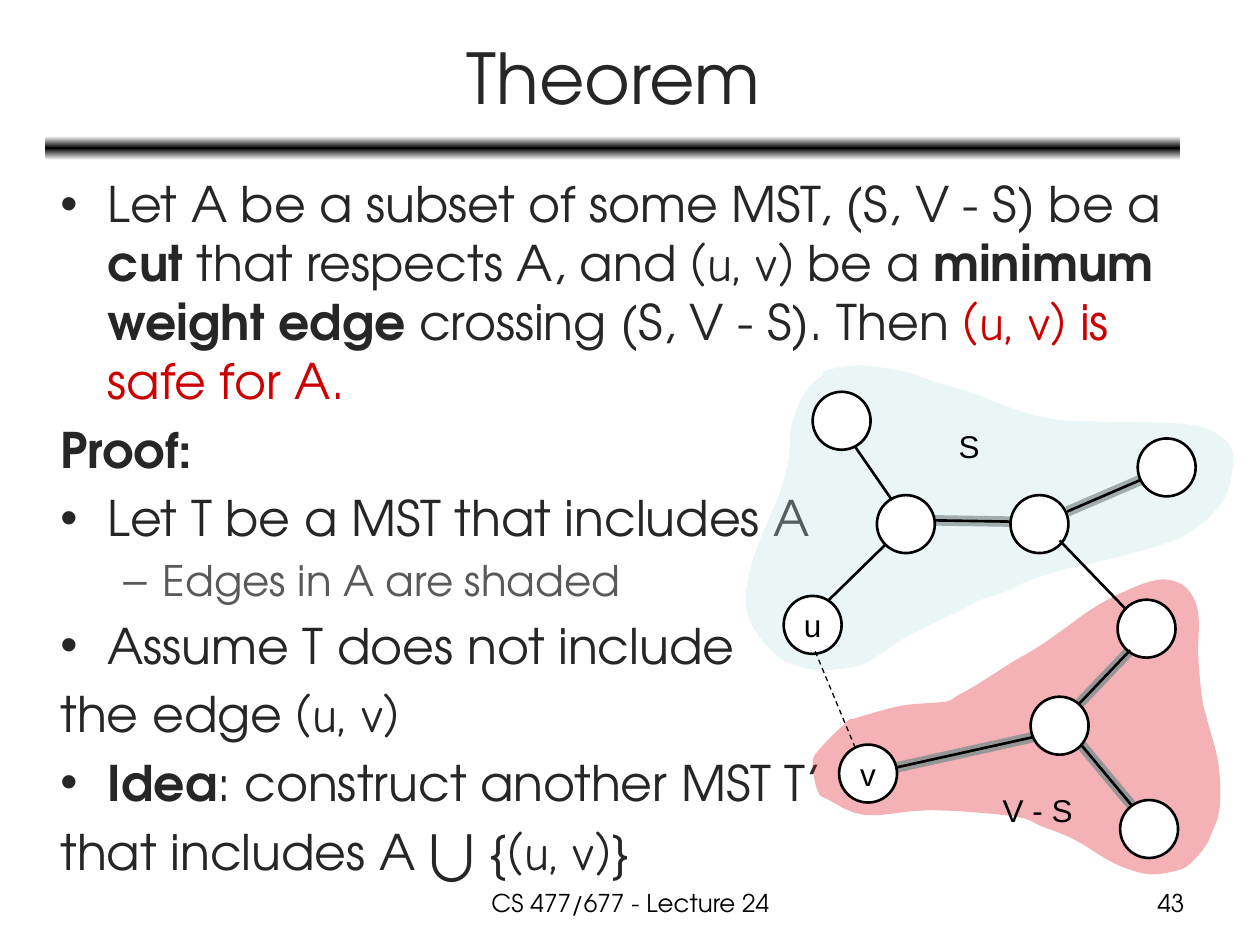
"""Build a lecture slide on safe edges for minimum spanning trees."""
from copy import deepcopy
from lxml.etree import SubElement
from pptx import Presentation
from pptx.dml.color import RGBColor
from pptx.enum.dml import MSO_LINE
from pptx.enum.shapes import MSO_CONNECTOR, MSO_SHAPE
from pptx.enum.text import MSO_ANCHOR, MSO_AUTO_SIZE, PP_ALIGN
from pptx.oxml.ns import qn
from pptx.util import Inches, Pt

BLACK = RGBColor(0x00, 0x00, 0x00)
WHITE = RGBColor(0xFF, 0xFF, 0xFF)
DARK = RGBColor(0x26, 0x26, 0x26)
GREY = RGBColor(0x59, 0x59, 0x59)
SHADE = RGBColor(0x96, 0x96, 0x96)
RED = RGBColor(0xCC, 0x00, 0x00)
PINK = RGBColor(0xDD, 0x01, 0x11)
TEAL = RGBColor(0xBB, 0xE0, 0xE3)
MAIN = "TeX Gyre Adventor"
MATH = "Comic Neue"
SIDE = 0.46

deck = Presentation()
deck.slide_width = Inches(10)
deck.slide_height = Inches(7.5)
slide = deck.slides.add_slide(deck.slide_layouts[1])
shapes = slide.shapes


def add_blob(knots, color):
    """Draw a smooth closed region through the knots."""
    dots = []
    for i, b in enumerate(knots):
        a, c, d = knots[i - 1], knots[(i + 1) % len(knots)], knots[(i + 2) % len(knots)]
        for t in (0, 0.25, 0.5, 0.75):
            dots.append(tuple(
                Inches(q + t * (r - p) / 2 + t**2 * (2 * p - 5 * q + 4 * r - s) / 2
                       + t**3 * (3 * q - p - 3 * r + s) / 2)
                for p, q, r, s in zip(a, b, c, d)))
    pen = shapes.build_freeform(*dots[0])
    pen.add_line_segments(dots[1:], close=True)
    blob = pen.convert_to_shape()
    blob.shadow.inherit = False
    blob.line.fill.background()
    blob.fill.solid()
    blob.fill.fore_color.rgb = color
    tint = blob.fill._xPr.find(".//" + qn("a:srgbClr"))
    SubElement(tint, qn("a:alpha"), val="30000")


def add_edge(ends, color, width):
    """Draw a straight edge between two points."""
    edge = shapes.add_connector(MSO_CONNECTOR.STRAIGHT, *[Inches(n) for n in ends])
    edge.line.color.rgb = color
    edge.line.width = Pt(width)
    SubElement(edge._element.spPr, qn("a:effectLst"))
    return edge


bar = shapes.add_shape(MSO_SHAPE.ROUNDED_RECTANGLE,
                       Inches(0.36), Inches(1.08), Inches(9.01), Inches(0.19))
bar.shadow.inherit = False
bar.line.fill.background()
bar.fill.gradient()
bar.fill.gradient_angle = 90
stops = bar.fill._xPr.find(".//" + qn("a:gsLst"))
stops.insert(1, deepcopy(stops[0]))
for stop, spot, color in zip(bar.fill.gradient_stops, (0, 0.5, 1), (WHITE, BLACK, WHITE)):
    stop.position = spot
    stop.color.rgb = color

title = shapes.title
title.left, title.top, title.width, title.height = [Inches(n) for n in (0.37, 0.11, 9, 0.99)]
title.text_frame.text = "Theorem"
title.text_frame.vertical_anchor = MSO_ANCHOR.MIDDLE
font = title.text_frame.paragraphs[0].runs[0].font
font.name, font.size, font.color.rgb = MAIN, Pt(40), DARK

PLAIN = (MAIN, False, DARK)
BOLD = (MAIN, True, DARK)
PAIR = (MATH, False, DARK)
items = [
    (0, True, [("Let A be a subset of some MST, (S, V - S) be a ", PLAIN), ("cut", BOLD),
               (" that respects A, and ", PLAIN), ("(u, v)", PAIR), (" be a ", PLAIN),
               ("minimum weight edge", BOLD), (" crossing (S, V - S). Then ", PLAIN),
               ("(u, v)", (MATH, False, RED)), (" is safe for A.", (MAIN, False, RED))]),
    (0, False, [("Proof:", BOLD)]),
    (0, True, [("Let T be a MST that includes A", PLAIN)]),
    (1, True, [("Edges in A are shaded", (MAIN, False, GREY))]),
    (0, True, [("Assume T does not include", PLAIN)]),
    (0, False, [("the edge ", PLAIN), ("(u, v)", PAIR)]),
    (0, True, [("Idea", BOLD), (": construct another MST T’", PLAIN)]),
    (0, False, [("that includes A ⋃ {", PLAIN), ("(u, v)", PAIR), ("}", PLAIN)]),
]
body = slide.placeholders[1]
body.left, body.top, body.width, body.height = [Inches(n) for n in (0.38, 1.33, 9.23, 5.55)]
frame = body.text_frame
frame.auto_size = MSO_AUTO_SIZE.NONE
for i, (level, dot, parts) in enumerate(items):
    para = frame.add_paragraph() if i else frame.paragraphs[0]
    para.level = level
    if not dot:
        SubElement(para._p.get_or_add_pPr(), qn("a:buNone"))
    for words, (face, bold, color) in parts:
        run = para.add_run()
        run.text = words
        font = run.font
        font.name, font.bold, font.color.rgb = face, bold, color
        font.size = Pt(24 if level else 28)

add_blob([(7.5, 5.57), (7.16, 5.6), (6.79, 5.7), (6.72, 5.73), (6.5, 5.95), (6.45, 6.06),
          (6.49, 6.28), (6.58, 6.35), (6.87, 6.47), (7.39, 6.43), (8.05, 6.48), (8.27, 6.56),
          (8.52, 6.66), (8.8, 6.83), (8.99, 6.91), (9.15, 6.94), (9.34, 6.91), (9.44, 6.86),
          (9.55, 6.74), (9.61, 6.63), (9.68, 6.41), (9.67, 6.06), (9.58, 5.71), (9.54, 5.54),
          (9.51, 5.2), (9.51, 4.86), (9.42, 4.67), (9.26, 4.6), (9.08, 4.63), (8.83, 4.74),
          (8.64, 4.85), (8.42, 5.01), (8.23, 5.14), (8.01, 5.27), (7.76, 5.43), (7.6, 5.52)],
         PINK)

shaded = [(7.42, 4.13, 8.02, 4.14), (8.47, 4.06, 9.05, 3.81), (7.12, 6.09, 8.2, 5.85),
          (8.57, 5.58, 8.97, 5.16), (8.58, 5.91, 8.98, 6.39)]
bare = [(6.57, 4.77, 7.03, 4.32), (6.79, 3.55, 7.08, 3.97), (8.41, 4.29, 8.94, 4.84)]
for ends in shaded:
    add_edge(ends, SHADE, 6)

add_blob([(6.52, 2.99), (6.45, 3.04), (6.36, 3.17), (6.28, 3.38), (6.26, 3.64), (6.19, 3.91),
          (6.11, 4.1), (6.01, 4.34), (5.94, 4.58), (5.92, 4.8), (5.99, 5), (6.16, 5.2),
          (6.34, 5.29), (6.55, 5.32), (6.82, 5.28), (6.96, 5.21), (7.17, 5.07), (7.4, 4.95),
          (7.61, 4.85), (7.79, 4.76), (7.97, 4.7), (8.14, 4.62), (8.37, 4.54), (8.62, 4.48),
          (8.76, 4.45), (9.06, 4.37), (9.34, 4.28), (9.52, 4.17), (9.63, 4.07), (9.73, 3.93),
          (9.78, 3.74), (9.77, 3.55), (9.6, 3.41), (9.35, 3.36), (8.92, 3.35), (8.39, 3.33),
          (8.03, 3.24), (7.75, 3.13), (7.42, 3.03), (7.18, 2.95), (6.81, 2.9), (6.56, 2.94)],
         TEAL)

nodes = [(6.22, 4.73, "u"), (6.96, 3.93, ""), (8.02, 3.93, ""), (9.03, 3.48, ""),
         (8.87, 4.76, ""), (6.45, 3.11, ""), (8.18, 5.53, ""), (8.89, 6.35, ""),
         (6.66, 5.91, "v")]
for left, top, name in nodes:
    node = shapes.add_shape(MSO_SHAPE.OVAL, Inches(left), Inches(top), Inches(SIDE), Inches(SIDE))
    node.shadow.inherit = False
    node.fill.solid()
    node.fill.fore_color.rgb = WHITE
    node.line.color.rgb = BLACK
    node.line.width = Pt(1.5)
    if name:
        frame = node.text_frame
        frame.text = name
        frame.word_wrap = False
        frame.vertical_anchor = MSO_ANCHOR.MIDDLE
        para = frame.paragraphs[0]
        para.alignment = PP_ALIGN.CENTER
        font = para.runs[0].font
        font.name, font.size, font.color.rgb = "Arial", Pt(18), BLACK

for ends in shaded + bare:
    add_edge(ends, BLACK, 1.5)
add_edge((6.47, 5.17, 6.79, 5.94), BLACK, 0.75).line.dash_style = MSO_LINE.DASH

labels = [
    ("S", (7.51, 3.34, 0.37, 0.4), "Arial", 18, PP_ALIGN.LEFT, False),
    ("V - S", (7.86, 6.23, 0.76, 0.4), "Arial", 18, PP_ALIGN.LEFT, False),
    ("CS 477/677 - Lecture 24", (3.42, 7, 3.17, 0.35), MAIN, 14, PP_ALIGN.CENTER, True),
    ("43", (7.17, 7, 2.33, 0.35), MAIN, 14, PP_ALIGN.RIGHT, True),
]
for words, place, face, size, align, wrap in labels:
    frame = shapes.add_textbox(*[Inches(n) for n in place]).text_frame
    frame.text = words
    frame.word_wrap = wrap
    para = frame.paragraphs[0]
    para.alignment = align
    font = para.runs[0].font
    font.name, font.size, font.color.rgb = face, Pt(size), BLACK

deck.save("out.pptx")
